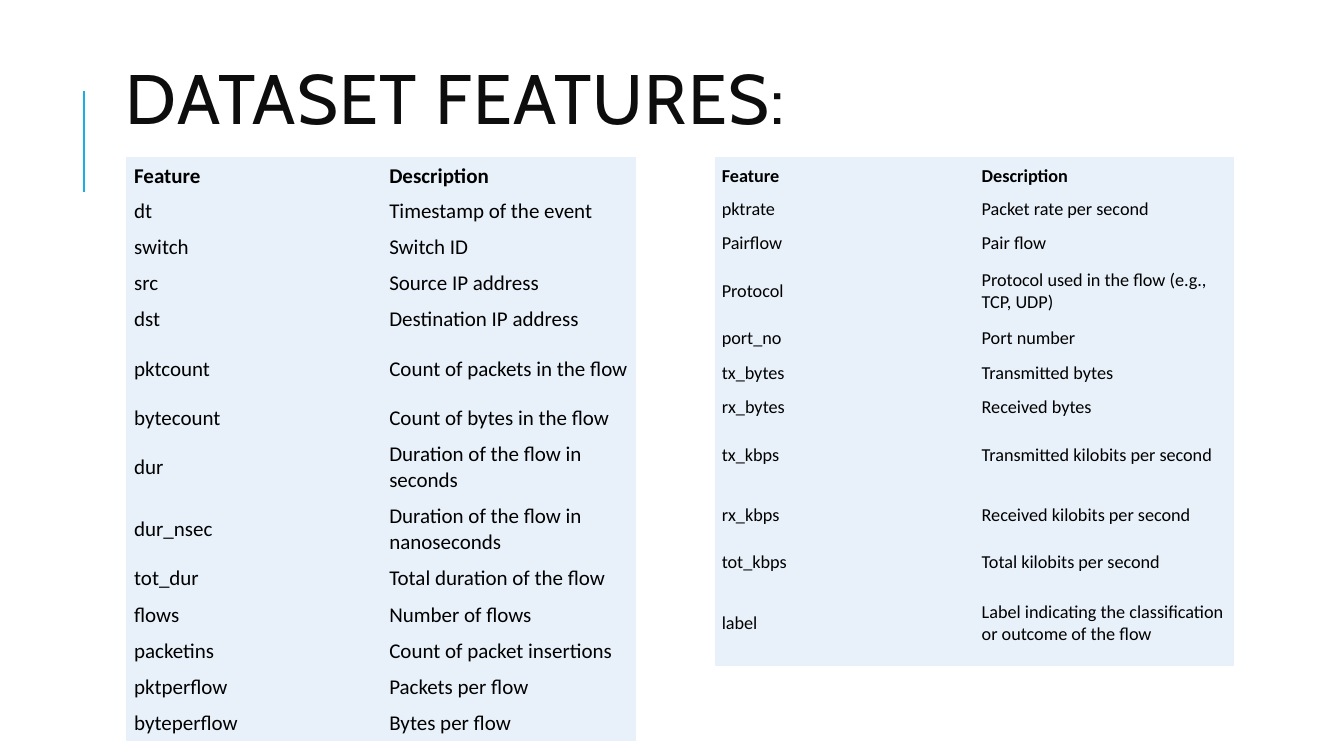
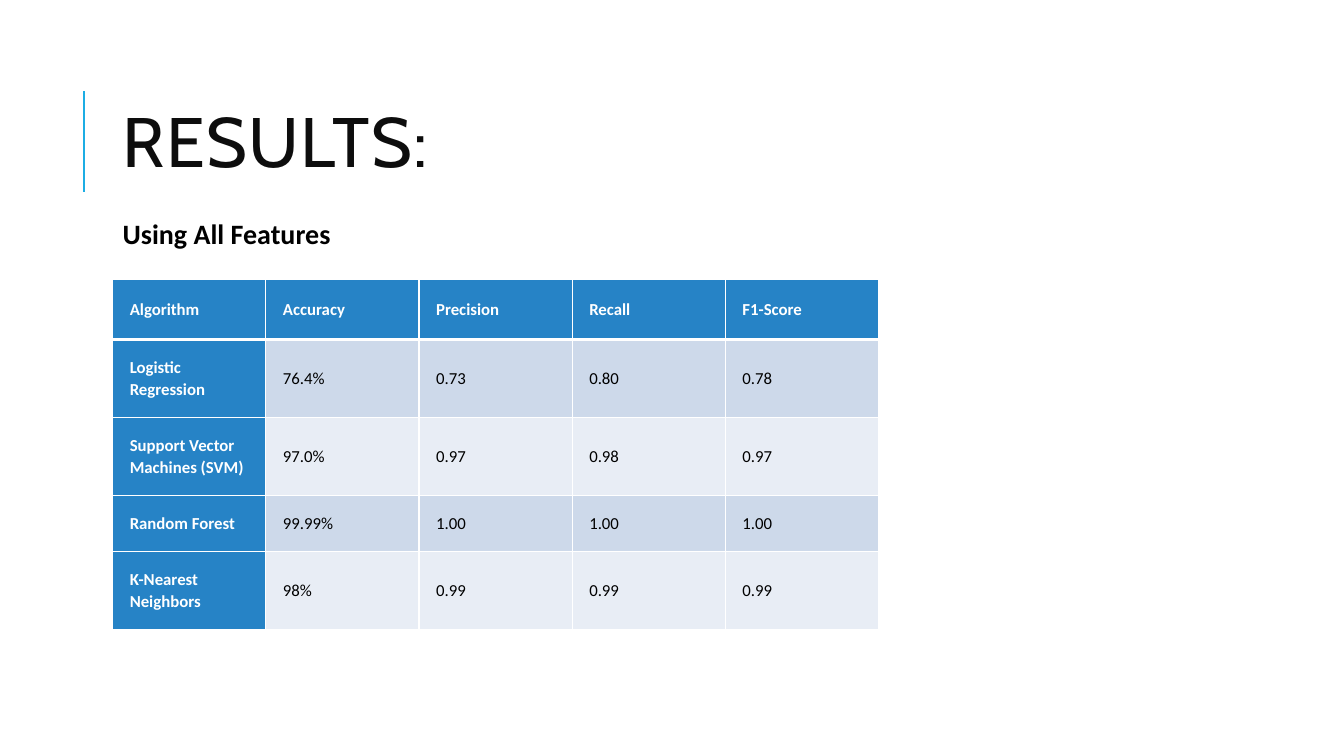
from pptx import Presentation
from pptx.dml.color import RGBColor
from pptx.enum.shapes import MSO_CONNECTOR
from pptx.enum.text import MSO_ANCHOR, MSO_AUTO_SIZE, PP_ALIGN
from pptx.oxml.ns import qn
from pptx.util import Cm, Pt
from lxml.etree import SubElement

# Colours and text styles
ACCENT = "1CADE4"
BLUE = "2683C6"
WHITE = "FFFFFF"
BLACK = "000000"
FEATURE_FILL = "E8F1FA"
BANDS = ("CDD9EA", "E8EDF5")
PLAIN_TABLE_STYLE = "{2D5ABB26-0587-4C30-8999-92F81FD0307C}"

TITLE_FONT = {"name": "Cabin", "size": Pt(50), "bold": False}
TITLE_PARAGRAPH = {"alignment": PP_ALIGN.LEFT, "line_spacing": 0.8}
TITLE_FRAME = {
    "vertical_anchor": MSO_ANCHOR.MIDDLE,
    "auto_size": MSO_AUTO_SIZE.NONE,
    "word_wrap": True,
}
CAPTION_FRAME = {
    "vertical_anchor": MSO_ANCHOR.MIDDLE,
    "auto_size": MSO_AUTO_SIZE.SHAPE_TO_FIT_TEXT,
    "word_wrap": False,
}
RESULT_PARAGRAPH = {"line_spacing": 1.07, "space_after": Pt(8)}

# Table contents
FLOW_FEATURES = [
    ("Feature", "Description"),
    ("dt", "Timestamp of the event"),
    ("switch", "Switch ID"),
    ("src", "Source IP address"),
    ("dst", "Destination IP address"),
    ("pktcount", "Count of packets in the flow"),
    ("bytecount", "Count of bytes in the flow"),
    ("dur", "Duration of the flow in seconds"),
    ("dur_nsec", "Duration of the flow in nanoseconds"),
    ("tot_dur", "Total duration of the flow"),
    ("flows", "Number of flows"),
    ("packetins", "Count of packet insertions"),
    ("pktperflow", "Packets per flow"),
    ("byteperflow", "Bytes per flow"),
]
TRAFFIC_FEATURES = [
    ("Feature", "Description"),
    ("pktrate", "Packet rate per second"),
    ("Pairflow", "Pair flow"),
    ("Protocol", "Protocol used in the flow (e.g., TCP, UDP)"),
    ("port_no", "Port number"),
    ("tx_bytes", "Transmitted bytes"),
    ("rx_bytes", "Received bytes"),
    ("tx_kbps", "Transmitted kilobits per second"),
    ("rx_kbps", "Received kilobits per second"),
    ("tot_kbps", "Total kilobits per second"),
    ("label", "Label indicating the classification or outcome of the flow"),
]
RESULTS = [
    ("Algorithm", "Accuracy", "Precision", "Recall", "F1-Score"),
    ("Logistic Regression", "76.4%", "0.73", "0.80", "0.78"),
    ("Support Vector Machines (SVM)", "97.0%", "0.97", "0.98", "0.97"),
    ("Random Forest", "99.99%", "1.00", "1.00", "1.00"),
    ("K-Nearest Neighbors", "98%", "0.99", "0.99", "0.99"),
]


def color(hex_value):
    return RGBColor.from_string(hex_value)


def set_attributes(target, values):
    for name, value in values.items():
        setattr(target, name, value)


def write_text(paragraph, text, font, font_color, layout=None):
    set_attributes(paragraph, layout or {})
    run = paragraph.add_run()
    run.text = text
    set_attributes(run.font, font)
    run.font.color.rgb = color(font_color)
    return run


def calibri(size, bold):
    return {"name": "Calibri", "size": Pt(size), "bold": bold}


# Slide frame: title and accent line
def add_titled_slide(presentation, title, left, top, width, height):
    slide = presentation.slides.add_slide(presentation.slide_layouts[5])
    line = slide.shapes.add_connector(
        MSO_CONNECTOR.STRAIGHT, Cm(2.11), Cm(4.83), Cm(2.11), Cm(2.29))
    line.line.color.rgb = color(ACCENT)
    line.line.width = Pt(1.5)
    SubElement(line._element.spPr, qn("a:effectLst"))

    shape = slide.shapes.title
    set_attributes(shape, {"left": Cm(left), "top": Cm(top),
                           "width": Cm(width), "height": Cm(height)})
    set_attributes(shape.text_frame, TITLE_FRAME)
    run = write_text(shape.text_frame.paragraphs[0], title,
                     TITLE_FONT, "0D0D0D", TITLE_PARAGRAPH)
    run.font._element.set("spc", "100")
    return slide


# Tables
def add_plain_table(slide, rows, left, top, column_width, row_heights):
    column_count = len(rows[0])
    frame = slide.shapes.add_table(
        len(rows), column_count, Cm(left), Cm(top),
        Cm(column_width * column_count), Cm(sum(row_heights)))
    table = frame.table
    table.horz_banding = False
    table._tbl.tblPr.find(qn("a:tableStyleId")).text = PLAIN_TABLE_STYLE
    for column in table.columns:
        column.width = Cm(column_width)
    for row, height in zip(table.rows, row_heights):
        row.height = Cm(height)
    return table


def fill_cell(cell, text, font, font_color, fill, margins, anchor, layout=None):
    horizontal, vertical = (Cm(margin) for margin in margins)
    set_attributes(cell, {
        "margin_left": horizontal, "margin_right": horizontal,
        "margin_top": vertical, "margin_bottom": vertical,
        "vertical_anchor": anchor,
    })
    cell.fill.solid()
    cell.fill.fore_color.rgb = color(fill)
    write_text(cell.text_frame.paragraphs[0], text, font, font_color, layout)


def add_borders(cell, widths):
    properties = cell._tc.get_or_add_tcPr()
    for side, width in widths.items():
        border = SubElement(properties, qn(f"a:ln{side}"), w=str(Pt(width)))
        solid = SubElement(border, qn("a:solidFill"))
        SubElement(solid, qn("a:srgbClr"), val=WHITE)


def add_feature_table(slide, rows, left, column_width, row_heights, size, margin):
    table = add_plain_table(slide, rows, left, 3.96, column_width, row_heights)
    for row_index, row in enumerate(rows):
        header = row_index == 0
        anchor = MSO_ANCHOR.BOTTOM if header else MSO_ANCHOR.MIDDLE
        for column_index, text in enumerate(row):
            fill_cell(table.cell(row_index, column_index), text,
                      calibri(size, header), BLACK, FEATURE_FILL,
                      (margin, 0.1), anchor)


def add_result_table(slide):
    table = add_plain_table(slide, RESULTS, 2.84, 7.04, 3.86,
                            [1.47, 1.91, 1.91, 1.37, 1.91])
    for row_index, row in enumerate(RESULTS):
        top_row = row_index == 0
        borders = {"L": 1, "R": 1, "T": 3 if row_index == 1 else 1,
                   "B": 3 if top_row else 1}
        for column_index, text in enumerate(row):
            heading = top_row or column_index == 0
            cell = table.cell(row_index, column_index)
            add_borders(cell, borders)
            fill_cell(cell, text, calibri(12, heading),
                      WHITE if heading else BLACK,
                      BLUE if heading else BANDS[(row_index - 1) % 2],
                      (0.43, 0.48 if top_row else 0.43),
                      MSO_ANCHOR.MIDDLE, RESULT_PARAGRAPH)


def add_caption(slide, text):
    box = slide.shapes.add_textbox(Cm(2.84), Cm(5.31), Cm(5.79), Cm(1.12))
    set_attributes(box.text_frame, CAPTION_FRAME)
    write_text(box.text_frame.paragraphs[0], text, calibri(20, True), BLACK)


def heights(count, normal, exceptions):
    return [exceptions.get(index, normal) for index in range(count)]


def main():
    presentation = Presentation()
    presentation.slide_width = Cm(33.87)
    presentation.slide_height = Cm(19.05)

    # Dataset features
    slide = add_titled_slide(presentation, "DATASET FEATURES:",
                             2.92, 1.55, 26.01, 2.16)
    add_feature_table(slide, FLOW_FEATURES, 3.18, 6.43,
                      heights(14, 0.91, {5: 1.57, 7: 1.57, 8: 1.57}), 15, 0.2)
    add_feature_table(slide, TRAFFIC_FEATURES, 18.01, 6.55,
                      heights(11, 0.87, {3: 1.52, 7: 1.52, 8: 1.52, 10: 2.18}),
                      13, 0.18)

    # Results
    slide = add_titled_slide(presentation, "RESULTS:", 2.84, 1.63, 27, 4.17)
    add_result_table(slide)
    add_caption(slide, "Using All Features")

    presentation.save("out.pptx")


if __name__ == "__main__":
    main()
